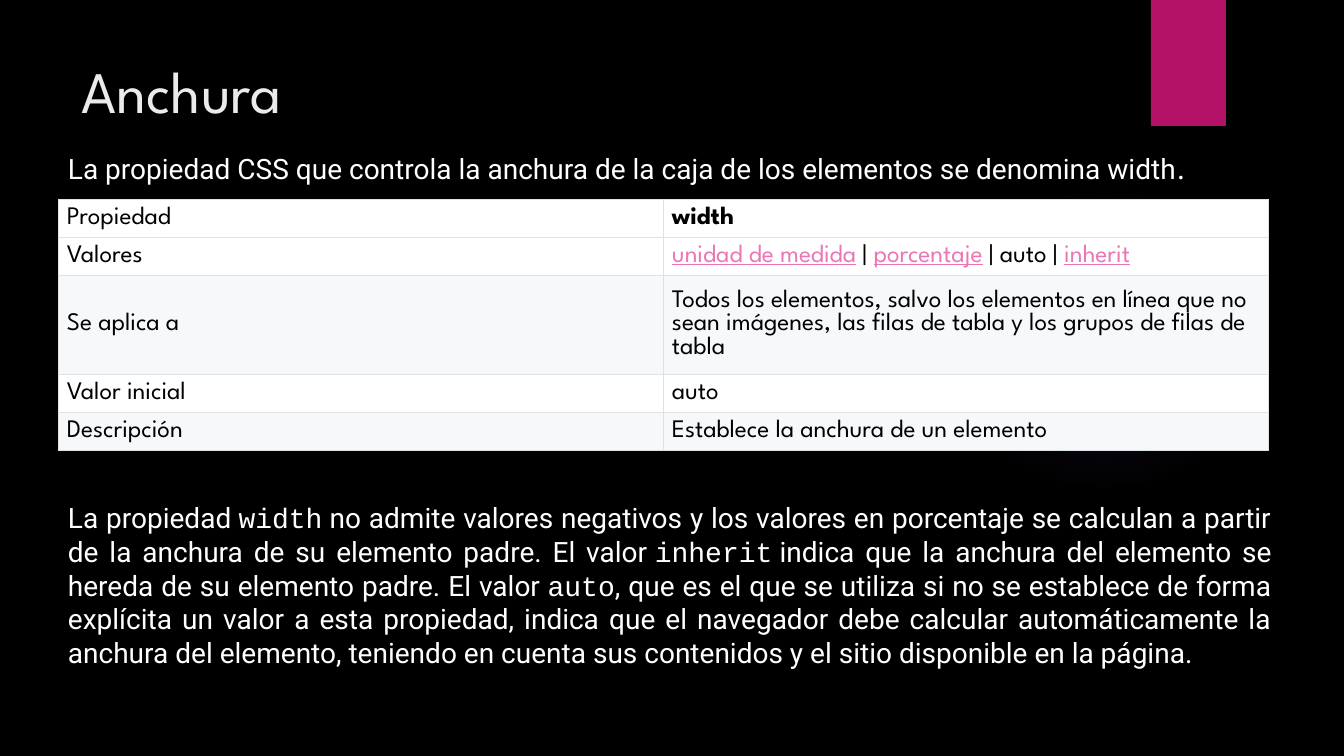
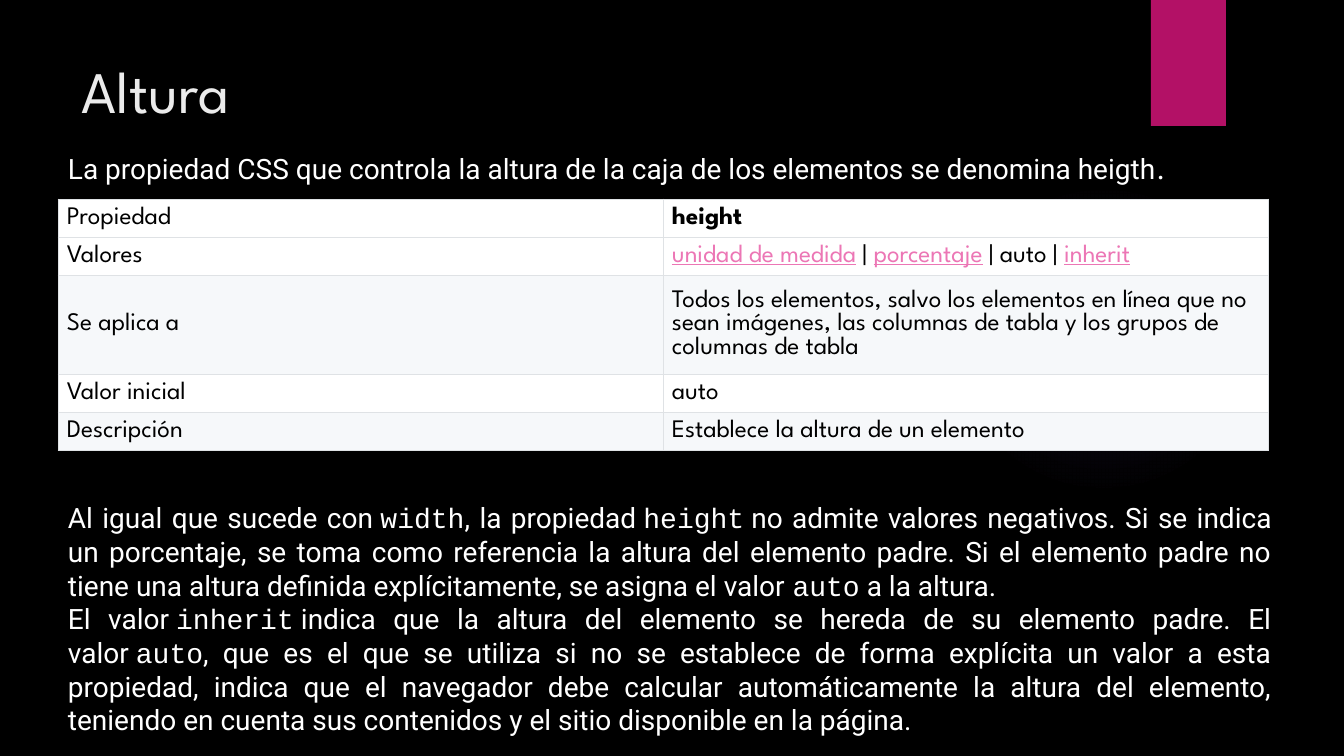
from dataclasses import dataclass

from pptx import Presentation
from pptx import util as u
from pptx.dml.color import RGBColor
from pptx.enum import shapes, text
from pptx.oxml import parse_xml
from pptx.oxml.ns import nsdecls

COLORS = {
    "background": "000000",
    "accent": "B31166",
    "glow": "9B6BF2",
    "title": "EBEBEB",
    "body": "FFFFFF",
    "cell": "000000",
    "link": "EC76B5",
    "border": "DFE2E5",
    "plain row": "FFFFFF",
    "shaded row": "F6F8FA",
}

# Font attributes; "color" names an entry of COLORS.
FORMATS = {
    "title": {"name": "League Spartan", "size": u.Pt(42), "color": "title"},
    "body": {"name": "Roboto", "size": u.Pt(20), "color": "body"},
    "code": {"name": "Courier New", "size": u.Pt(20), "color": "body"},
    "stop": {"name": "League Spartan", "size": u.Pt(20), "color": "body"},
    "cell": {"name": "League Spartan", "size": u.Pt(18), "color": "cell", "bold": False},
    "strong": {"name": "League Spartan", "size": u.Pt(18), "color": "cell", "bold": True},
    "link": {"name": "League Spartan", "size": u.Pt(18), "color": "link",
             "bold": False, "underline": True},
}
# Each mark encloses words that take the named format; a tilde is a no-break space.
MARKS = {"`": "code", "^": "stop", "*": "strong", "_": "link"}
NO_BREAK_SPACE = chr(160)

SLIDE_WIDTH, SLIDE_HEIGHT = 1344, 756
SHADED_ROWS = (2, 4)
GLOW_STOPS = ((0, 7), (36, 6), (69, 0))  # position and opacity, in percent


@dataclass(frozen=True)
class Box:
    left: int
    top: int
    width: int
    height: int

    def emu(self) -> tuple[u.Emu, ...]:
        return tuple(px(n) for n in (self.left, self.top, self.width, self.height))


@dataclass(frozen=True)
class Dimension:
    """One CSS size property and what its slide says about it."""
    noun: str
    prop: str
    intro_prop: str
    table_parts: str
    explanation: tuple[str, ...]
    explanation_height: int

    def intro(self) -> str:
        return (f"La propiedad CSS que controla la {self.noun} de la caja de los "
                f"elementos se denomina~{self.intro_prop}^.^")

    def rows(self) -> tuple[tuple[str, str], ...]:
        return (
            ("Propiedad", f"*{self.prop}*"),
            ("Valores", "_unidad de medida_~|~_porcentaje_~| auto |~_inherit_"),
            ("Se aplica a",
             "Todos los elementos, salvo los elementos en línea que no sean imágenes, "
             f"las {self.table_parts} de tabla y los grupos de {self.table_parts} de tabla"),
            ("Valor inicial", "auto"),
            ("Descripción", f"Establece la {self.noun} de un elemento"),
        )


def keyword_values(noun: str) -> str:
    return (f"El valor~`inherit`~indica que la {noun} del elemento se hereda de su "
            "elemento padre. El valor~`auto`, que es el que se utiliza si no se "
            "establece de forma explícita un valor a esta propiedad, indica que el "
            f"navegador debe calcular automáticamente la {noun} del elemento, teniendo "
            "en cuenta sus contenidos y el sitio disponible en la página.")


DIMENSIONS = (
    Dimension(
        "anchura", "width", "width", "filas",
        ("La propiedad~`width`~no admite valores negativos y los valores en "
         "porcentaje se calculan a partir de la anchura de su elemento padre. "
         + keyword_values("anchura"),),
        180,
    ),
    Dimension(
        "altura", "height", "heigth", "columnas",
        ("Al igual que sucede con~`width`, la propiedad~`height`~no admite valores "
         "negativos. Si se indica un porcentaje, se toma como referencia la altura "
         "del elemento padre. Si el elemento padre no tiene una altura definida "
         "explícitamente, se asigna el valor~`auto`~a la altura.",
         keyword_values("altura")),
        248,
    ),
)


def px(length: int) -> u.Emu:
    return u.Emu(round(length * u.Inches(1) / 100.8))


def rgb(color: str) -> RGBColor:
    return RGBColor.from_string(COLORS[color])


def add_run(paragraph, words: str, style: str) -> None:
    run = paragraph.add_run()
    run.text = words.replace("~", NO_BREAK_SPACE)
    for attribute, value in FORMATS[style].items():
        if attribute == "color":
            run.font.color.rgb = rgb(value)
        else:
            setattr(run.font, attribute, value)


def write_marked(paragraph, marked: str, base: str) -> None:
    """Write words in the base format, and marked ones in the format of their mark."""
    style, words = base, ""
    for letter in marked:
        if letter not in MARKS:
            words += letter
            continue
        if words:
            add_run(paragraph, words, style)
        style, words = (MARKS[letter] if style == base else base), ""
    if words:
        add_run(paragraph, words, style)


def add_words(slide, box: Box, paragraphs: tuple[str, ...], style: str,
              anchor=text.MSO_ANCHOR.TOP, align=text.PP_ALIGN.LEFT) -> None:
    frame = slide.shapes.add_textbox(*box.emu()).text_frame
    frame.word_wrap = True
    frame.vertical_anchor = anchor
    for index, marked in enumerate(paragraphs):
        paragraph = frame.add_paragraph() if index else frame.paragraphs[0]
        paragraph.alignment = align
        write_marked(paragraph, marked, style)


def add_plain_shape(slide, kind, box: Box):
    shape = slide.shapes.add_shape(kind, *box.emu())
    shape.shadow.inherit = False
    shape.line.fill.background()
    return shape


def add_decoration(slide) -> None:
    glow = add_plain_shape(slide, shapes.MSO_SHAPE.OVAL, Box(949, 184, 310, 310))
    stops = "".join(
        f'<a:gs pos="{position * 1000}"><a:srgbClr val="{COLORS["glow"]}">'
        f'<a:alpha val="{opacity * 1000}"/></a:srgbClr></a:gs>'
        for position, opacity in GLOW_STOPS)
    glow._element.spPr.insert(2, parse_xml(
        f'<a:gradFill {nsdecls("a")}><a:gsLst>{stops}</a:gsLst><a:path path="circle">'
        '<a:fillToRect l="50000" t="50000" r="50000" b="50000"/></a:path></a:gradFill>'))
    ribbon = add_plain_shape(slide, shapes.MSO_SHAPE.RECTANGLE, Box(1151, 0, 75, 126))
    ribbon.fill.solid()
    ribbon.fill.fore_color.rgb = rgb("accent")


def add_borders(cell) -> None:
    properties = cell._tc.get_or_add_tcPr()
    for side in "LRTB":
        properties.append(parse_xml(
            f'<a:ln{side} {nsdecls("a")} w="{u.Pt(0.6)}"><a:solidFill>'
            f'<a:srgbClr val="{COLORS["border"]}"/></a:solidFill></a:ln{side}>'))


def add_property_table(slide, rows: tuple[tuple[str, str], ...]) -> None:
    """Add a table whose rows, of no height of their own, grow to fit the text."""
    frame = slide.shapes.add_table(len(rows), 2, *Box(58, 199, 1210, 0).emu())
    frame.height = px(284)
    table = frame.table
    table.first_row = table.horz_banding = False
    cell_format = {
        "margin_left": px(9), "margin_right": px(9),
        "margin_top": px(4), "margin_bottom": px(4),
        "vertical_anchor": text.MSO_ANCHOR.MIDDLE,
    }
    for index, row in enumerate(rows):
        for column, marked in enumerate(row):
            cell = table.cell(index, column)
            for attribute, value in cell_format.items():
                setattr(cell, attribute, value)
            add_borders(cell)
            cell.fill.solid()
            cell.fill.fore_color.rgb = rgb(
                "shaded row" if index in SHADED_ROWS else "plain row")
            write_marked(cell.text_frame.paragraphs[0], marked, "cell")


def add_dimension_slide(deck, dimension: Dimension) -> None:
    slide = deck.slides.add_slide(deck.slide_layouts[6])
    slide.background.fill.solid()
    slide.background.fill.fore_color.rgb = rgb("background")
    add_decoration(slide)
    add_words(slide, Box(72, 49, 1037, 81), (dimension.noun.capitalize(),), "title",
              anchor=text.MSO_ANCHOR.BOTTOM)
    add_property_table(slide, dimension.rows())
    add_words(slide, Box(58, 496, 1224, dimension.explanation_height),
              dimension.explanation, "body", align=text.PP_ALIGN.JUSTIFY)
    add_words(slide, Box(58, 147, 1164, 78), (dimension.intro(),), "body")


def main() -> None:
    deck = Presentation()
    deck.slide_width, deck.slide_height = px(SLIDE_WIDTH), px(SLIDE_HEIGHT)
    for dimension in DIMENSIONS:
        add_dimension_slide(deck, dimension)
    deck.save("out.pptx")


if __name__ == "__main__":
    main()
